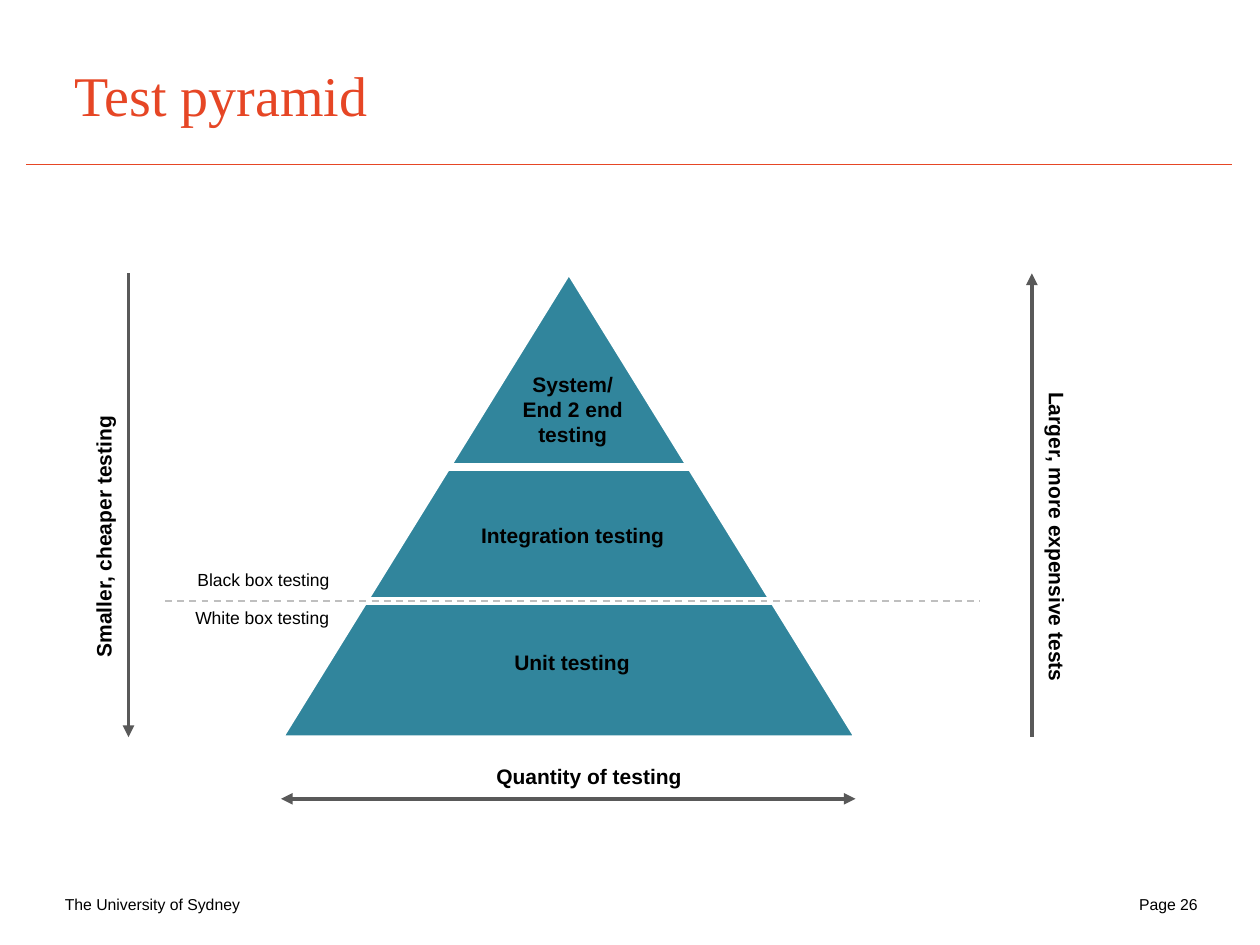
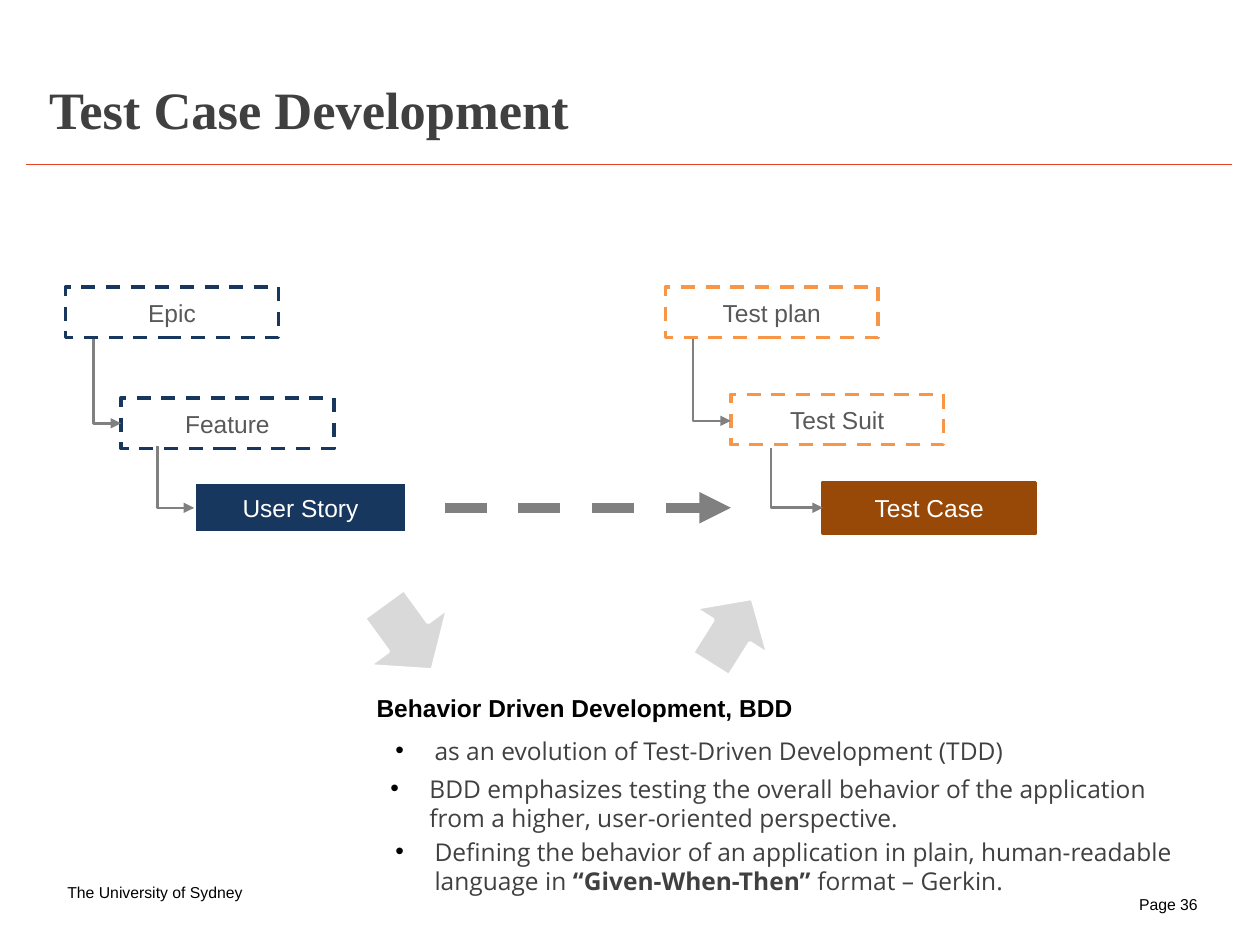
from dataclasses import dataclass

from lxml import etree
from pptx import Presentation
from pptx import util as u
from pptx.dml.color import RGBColor
from pptx.enum import dml, shapes, text
from pptx.oxml import ns

WIDTH, HEIGHT = u.Inches(10), u.Inches(7.5)
COLUMN, ROW = WIDTH / 100, HEIGHT / 75
COLORS = {
    "white": "FFFFFF", "black": "000000", "accent": "E64625", "teal": "31859C",
    "ink": "404040", "label": "595959", "link": "808080", "boundary": "BFBFBF",
    "block": "D9D9D9", "navy": "17375E", "orange": "F79646", "brown": "984807",
}
STYLES = {
    "title": ({"name": "Times New Roman", "size": u.Pt(32)}, "accent"),
    "heading": ({"name": "Times New Roman", "size": u.Pt(30), "bold": True}, "ink"),
    "footer": ({"name": "Arial", "size": u.Pt(9)}, "black"),
    "strong": ({"name": "Arial", "size": u.Pt(12), "bold": True}, "black"),
    "small": ({"name": "Arial", "size": u.Pt(10)}, "black"),
    "open step": ({"name": "Arial", "size": u.Pt(14)}, "label"),
    "filled step": ({"name": "Arial", "size": u.Pt(14)}, "white"),
    "topic": ({"name": "Arial", "size": u.Pt(14), "bold": True}, "black"),
    "point": ({"name": "Open Sans", "size": u.Pt(14)}, "ink"),
}
CENTER, LEFT = text.PP_ALIGN.CENTER, text.PP_ALIGN.LEFT
TOP, BOTTOM = text.MSO_ANCHOR.TOP, text.MSO_ANCHOR.BOTTOM


@dataclass
class Label:
    words: str
    column: float
    row: float
    columns: float
    rows: float
    style: str = "strong"
    align: int = CENTER
    anchor: int = TOP
    inset: tuple = (1, 0.5)
    turn: float = 0
    spacing: float = 1
    bullet: bool = False


@dataclass
class Line:
    start: tuple
    end: tuple
    color: str
    points: float
    ends: tuple = ()
    dashed: bool = False
    bent: bool = False


@dataclass
class Figure:
    kind: int
    column: float
    row: float
    columns: float
    rows: float
    fill: str
    outline: str
    dashed: bool = False
    turn: float = 0
    words: str = ""
    style: str = "open step"


def x(columns: float) -> int:
    return round(columns * COLUMN)


def y(rows: float) -> int:
    return round(rows * ROW)


def rgb(name: str) -> RGBColor:
    return RGBColor.from_string(COLORS[name])


def write(paragraph, words: str, style: str) -> None:
    formats, color = STYLES[style]
    for index, part in enumerate(words.split("*")):
        run = paragraph.add_run()
        run.text = part
        for name, value in formats.items():
            setattr(run.font, name, value)
        run.font.color.rgb = rgb(color)
        if index % 2:
            run.font.bold = True


def add_bullet(paragraph) -> None:
    properties = paragraph._p.get_or_add_pPr()
    properties.set("marL", str(x(3.1)))
    properties.set("indent", str(-x(3.1)))
    color = etree.SubElement(properties, ns.qn("a:buClr"))
    etree.SubElement(color, ns.qn("a:srgbClr"), val=COLORS["black"])
    etree.SubElement(properties, ns.qn("a:buFont"), typeface="Arial")
    etree.SubElement(properties, ns.qn("a:buChar"), char="•")


def draw_label(slide, label: Label) -> None:
    box = slide.shapes.add_textbox(
        x(label.column), y(label.row), x(label.columns), y(label.rows))
    box.rotation = label.turn
    side, edge = label.inset
    frame_format = {
        "word_wrap": True, "vertical_anchor": label.anchor,
        "margin_left": x(side), "margin_right": x(side),
        "margin_top": y(edge), "margin_bottom": y(edge),
    }
    for name, value in frame_format.items():
        setattr(box.text_frame, name, value)
    for index, words in enumerate(label.words.split("\n")):
        frame = box.text_frame
        paragraph = frame.add_paragraph() if index else frame.paragraphs[0]
        if label.bullet:
            add_bullet(paragraph)
        paragraph.alignment = label.align
        paragraph.line_spacing = label.spacing
        write(paragraph, words, label.style)


def style_line(line, color: str, points: float, dashed: bool) -> None:
    line.color.rgb = rgb(color)
    line.width = u.Pt(points)
    if dashed:
        line.dash_style = dml.MSO_LINE.DASH


def draw_line(slide, line: Line) -> None:
    (left, top), (right, bottom) = line.start, line.end
    kind = shapes.MSO_CONNECTOR.STRAIGHT
    if line.bent:
        kind = shapes.MSO_CONNECTOR.ELBOW
        middle, center = (left + right) / 2, (top + bottom) / 2
        across, down = right - left, bottom - top
        left, right = middle - down / 2, middle + down / 2
        top, bottom = center - across / 2, center + across / 2
    connector = slide.shapes.add_connector(kind, x(left), y(top), x(right), y(bottom))
    properties = connector._element.spPr
    if line.bent:
        frame = properties.find(ns.qn("a:xfrm"))
        frame.set("rot", str(270 * 60000))
        frame.set("flipH", "1")
        properties.find(ns.qn("a:prstGeom")).set("prst", "bentConnector2")
    style_line(connector.line, line.color, line.points, line.dashed)
    for end in line.ends:
        etree.SubElement(connector.line._get_or_add_ln(), ns.qn(f"a:{end}"), type="triangle")
    etree.SubElement(properties, ns.qn("a:effectLst"))


def draw_figure(slide, figure: Figure) -> None:
    shape = slide.shapes.add_shape(
        figure.kind, x(figure.column), y(figure.row), x(figure.columns), y(figure.rows))
    shape.shadow.inherit = False
    shape.rotation = figure.turn
    shape.fill.solid()
    shape.fill.fore_color.rgb = rgb(figure.fill)
    style_line(shape.line, figure.outline, 2, figure.dashed)
    if figure.words:
        shape.text_frame.vertical_anchor = text.MSO_ANCHOR.MIDDLE
        paragraph = shape.text_frame.paragraphs[0]
        paragraph.alignment = CENTER
        write(paragraph, figure.words, figure.style)


DRAWERS = {Label: draw_label, Line: draw_line, Figure: draw_figure}


def draw_all(slide, parts: list) -> None:
    for part in parts:
        DRAWERS[type(part)](slide, part)


def footer(words: str, column: float, row: float, columns: float) -> Label:
    return Label(words, column, row, columns, 1.7, "footer", LEFT, inset=(0, 0), spacing=1.17)


def start_slide(deck, title: Label, page: int, owner_at: tuple):
    slide = deck.slides.add_slide(deck.slide_layouts[6])
    draw_all(slide, [
        Line((2.1, 13.05), (97.8, 13.05), "accent", 0.75),
        title,
        footer("The University of Sydney", *owner_at, 17.4),
        footer(f"Page {page}", 90.4, 70.8, 5.6),
    ])
    return slide


def build_pyramid(deck) -> None:
    title = Label("Test pyramid", 5.9, 4.5, 61.2, 5.7, "title", LEFT, BOTTOM, (0, 0.1))
    slide = start_slide(deck, title, 26, (5.15, 70.8))
    apex, base, boundary = 21.7, 58.5, 47.7
    draw_all(slide, [
        Figure(shapes.MSO_SHAPE.ISOSCELES_TRIANGLE, 22.4, apex, 45.5, base - apex,
               "teal", "white"),
        Line((30.5, 37.1), (60.3, 37.1), "white", 4.5),
        Line((25, boundary), (62.9, boundary), "white", 4.5),
        Label("System/\nEnd 2 end testing", 40.2, 29, 10.5, 7.1),
        Label("Integration testing", 36.2, 41, 18.5, 3),
        Label("Unit testing", 37.3, 51.1, 16.2, 3),
        Line((22.3, 63.4), (67.9, 63.4), "label", 2.25, ("headEnd", "tailEnd")),
        Label("Quantity of testing", 36, 60.1, 21.5, 3),
        Line((10.2, apex), (10.2, base), "label", 2.25, ("tailEnd",)),
        Line((81.9, apex), (81.9, base), "label", 2.25, ("headEnd",)),
        Label("Larger, more expensive tests", 71, 41.1, 25.8, 3, turn=90),
        Label("Smaller, cheaper testing", -3.4, 41.1, 23.2, 3, turn=270),
        Line((13.1, boundary), (77.8, boundary), "boundary", 1, dashed=True),
        Label("Black box testing", 12.8, boundary - 3, 16.2, 2.7, "small"),
        Label("White box testing", 12.7, boundary, 16.2, 2.7, "small"),
    ])


def open_step(words: str, column: float, row: float, outline: str) -> Figure:
    return Figure(shapes.MSO_SHAPE.RECTANGLE, column, row, 16.9, 4, "white", outline,
                  True, words=words)


def filled_step(words: str, column: float, fill: str, outline: str) -> Figure:
    return Figure(shapes.MSO_SHAPE.RECTANGLE, column, 38.3, 16.9, 4, fill, outline,
                  words=words, style="filled step")


def link(start: tuple, end: tuple) -> Line:
    return Line(start, end, "link", 1.5, ("tailEnd",), bent=True)


def block_arrow(column: float, row: float, columns: float, rows: float, turn: float) -> Figure:
    return Figure(shapes.MSO_SHAPE.DOWN_ARROW, column, row, columns, rows,
                  "block", "white", turn=turn)


def point(words: str, column: float, row: float, columns: float, rows: float) -> Label:
    return Label(words, column, row, columns, rows, "point", LEFT, bullet=True)


def build_development(deck) -> None:
    title = Label("Test Case Development", 3.2, 5.8, 44.9, 5.7, "heading", LEFT, BOTTOM, (0.7, 0.4))
    slide = start_slide(deck, title, 36, (5.35, 69.8))
    draw_all(slide, [
        open_step("Epic", 5.2, 22.8, "navy"),
        open_step("Feature", 9.6, 31.6, "navy"),
        filled_step("User Story", 15.4, "navy", "white"),
        link((7.4, 26.9), (9.6, 33.6)),
        link((12.5, 35.4), (15.4, 40.3)),
        open_step("Test plan", 52.8, 22.8, "orange"),
        open_step("Test Suit", 58, 31.3, "orange"),
        filled_step("Test Case", 65.3, "brown", "brown"),
        link((55, 26.9), (58, 33.4)),
        link((61.2, 35.6), (65.3, 40.3)),
        Label("Behavior Driven Development, BDD", 28.9, 54.5, 35.6, 3.4, "topic", LEFT),
        Line((35.3, 40.3), (58, 40.3), "link", 6, ("tailEnd",), dashed=True),
        block_arrow(28.5, 47.3, 7.8, 6.5, 323.9),
        block_arrow(54.6, 47, 6.9, 6.2, 212.2),
        point("as an evolution of Test-Driven Development (TDD)", 30.4, 57.9, 55.1, 3.4),
        point("BDD emphasizes testing the overall behavior of the application "
              "from a higher, user-oriented perspective.", 30, 60.9, 65.5, 5.7),
        point("Defining the behavior of an application in plain, human-readable "
              "language in *“Given-When-Then”* format – Gerkin.", 30.4, 65.9, 65.1, 5.7),
    ])


def main() -> None:
    deck = Presentation()
    deck.slide_width, deck.slide_height = WIDTH, HEIGHT
    build_pyramid(deck)
    build_development(deck)
    deck.save("out.pptx")


if __name__ == "__main__":
    main()
